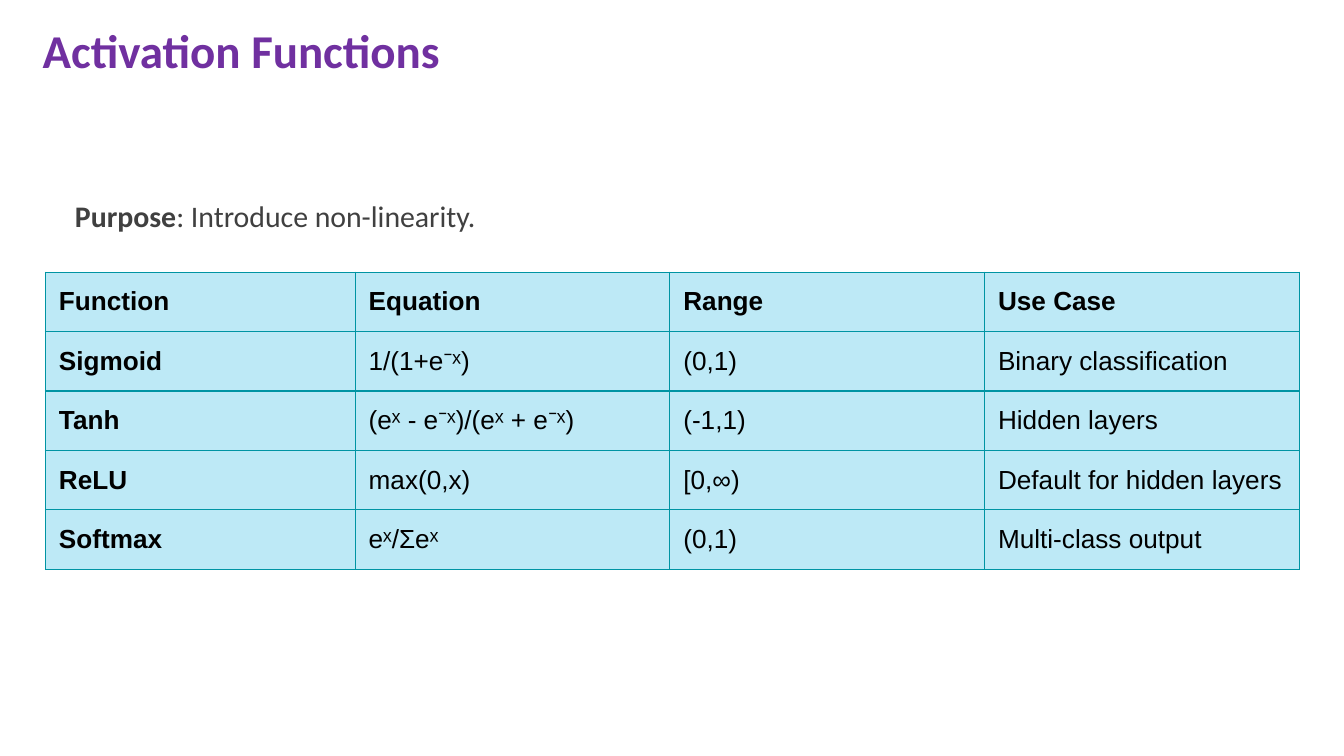
"""Build the Activation Functions slide with its comparison table."""
from lxml.etree import SubElement
from pptx import Presentation
from pptx.dml.color import RGBColor
from pptx.enum.text import MSO_ANCHOR as Anchor, PP_ALIGN as Align
from pptx.oxml.ns import qn
from pptx.util import Pt

SLIDE_SIZE = (720, 405)
TITLE = [("Activation Functions", True)]
PURPOSE = [("Purpose", True), (": Introduce non-linearity.", False)]
FUNCTIONS = [
    ("Function", "Equation", "Range", "Use Case"),
    ("Sigmoid", "1/(1+e⁻ˣ)", "(0,1)", "Binary classification"),
    ("Tanh", "(eˣ - e⁻ˣ)/(eˣ + e⁻ˣ)", "(-1,1)", "Hidden layers"),
    ("ReLU", "max(0,x)", "[0,∞)", "Default for hidden layers"),
    ("Softmax", "eˣ/Σeˣ", "(0,1)", "Multi-class output"),
]
TITLE_FONT = {"name": "Calibri", "size": Pt(25.2)}
PURPOSE_FONT = {"name": "Calibri", "size": Pt(16)}
CELL_FONT = {"name": "Arial", "size": Pt(14)}
INSET = Pt(7.2)
CELL_FORMAT = {
    "vertical_anchor": Anchor.MIDDLE,
    "margin_left": INSET, "margin_right": INSET,
    "margin_top": INSET, "margin_bottom": INSET,
}
TITLE_FRAME = {
    "word_wrap": True, "vertical_anchor": Anchor.TOP,
    "margin_left": INSET, "margin_right": INSET,
    "margin_top": INSET, "margin_bottom": INSET,
}
PURPOSE_FRAME = {"word_wrap": False, "vertical_anchor": Anchor.TOP}
TABLE_LEFT, TABLE_TOP = 24.4, 145.8
COLUMN_WIDTHS = (165.9, 168.6, 168.6, 168.6)
ROW_HEIGHT = 31.85
CELL_FILL, BORDER, BORDER_WIDTH = "BDE9F6", "0094A3", 0.75


def color(value):
    return RGBColor.from_string(value)


def apply(target, formats):
    for key, value in formats.items():
        setattr(target, key, value)


def write(frame, parts, font, text_color):
    paragraph = frame.paragraphs[0]
    paragraph.alignment = Align.LEFT
    for words, bold in parts:
        run = paragraph.add_run()
        run.text = words
        apply(run.font, {**font, "bold": bold})
        run.font.color.rgb = color(text_color)


def add_text(slide, bounds, parts, frame_format, font, text_color):
    frame = slide.shapes.add_textbox(*map(Pt, bounds)).text_frame
    apply(frame, frame_format)
    write(frame, parts, font, text_color)


def add_borders(cell):
    properties = cell._tc.get_or_add_tcPr()
    for side in ("a:lnL", "a:lnR", "a:lnT", "a:lnB"):
        line = SubElement(properties, qn(side), w=str(Pt(BORDER_WIDTH)))
        fill = SubElement(line, qn("a:solidFill"))
        SubElement(fill, qn("a:srgbClr"), val=BORDER)


def add_functions(slide):
    rows, columns = len(FUNCTIONS), len(COLUMN_WIDTHS)
    bounds = (TABLE_LEFT, TABLE_TOP, sum(COLUMN_WIDTHS), rows * ROW_HEIGHT)
    table = slide.shapes.add_table(rows, columns, *map(Pt, bounds)).table
    apply(table, {"first_row": False, "horz_banding": False})
    for column, width in zip(table.columns, COLUMN_WIDTHS):
        column.width = Pt(width)
    for r, entries in enumerate(FUNCTIONS):
        table.rows[r].height = Pt(ROW_HEIGHT)
        for c, entry in enumerate(entries):
            cell = table.cell(r, c)
            apply(cell, CELL_FORMAT)
            add_borders(cell)
            cell.fill.solid()
            cell.fill.fore_color.rgb = color(CELL_FILL)
            write(cell.text_frame, [(entry, r == 0 or c == 0)], CELL_FONT, "000000")


def main():
    deck = Presentation()
    deck.slide_width, deck.slide_height = map(Pt, SLIDE_SIZE)
    slide = deck.slides.add_slide(deck.slide_layouts[6])
    add_text(slide, (15.8, 4.3, 656, 49.7), TITLE, TITLE_FRAME, TITLE_FONT, "7030A0")
    add_functions(slide)
    add_text(slide, (33.1, 102.2, 233.3, 46), PURPOSE, PURPOSE_FRAME, PURPOSE_FONT, "404040")
    deck.save("out.pptx")


if __name__ == "__main__":
    main()
